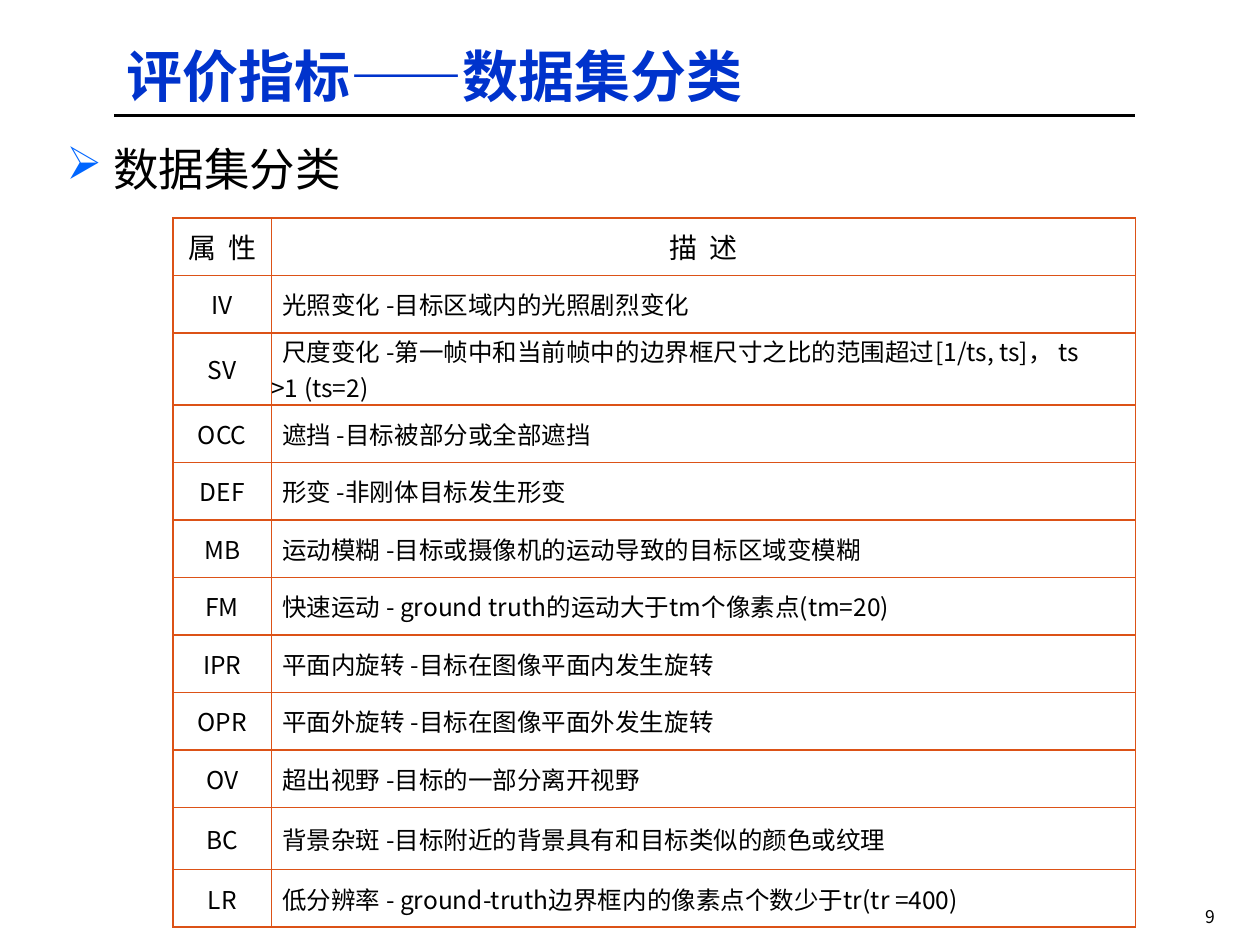
from lxml import etree
from pptx import Presentation
from pptx.dml.color import RGBColor
from pptx.enum.shapes import MSO_CONNECTOR
from pptx.enum.text import MSO_ANCHOR, PP_ALIGN
from pptx.oxml.ns import qn
from pptx.util import Cm, Pt

STRAIGHT = MSO_CONNECTOR.STRAIGHT
MIDDLE, TOP = MSO_ANCHOR.MIDDLE, MSO_ANCHOR.TOP
LEFT, CENTER, RIGHT = PP_ALIGN.LEFT, PP_ALIGN.CENTER, PP_ALIGN.RIGHT

COLORS = {"title": "0033CC", "bullet": "0066FF", "text": "000000", "border": "DC5217"}
SERIF, SANS = "Times New Roman", "Noto Sans CJK SC"
TITLE_ONLY = 5

HEADER = ("属 性", "描 述")
ATTRIBUTES = [
    ("IV", "光照变化 -目标区域内的光照剧烈变化"),
    ("SV", "尺度变化 -第一帧中和当前帧中的边界框尺寸之比的范围超过[1/ts, ts]， ts\n>1 (ts=2)"),
    ("OCC", "遮挡 -目标被部分或全部遮挡"),
    ("DEF", "形变 -非刚体目标发生形变"),
    ("MB", "运动模糊 -目标或摄像机的运动导致的目标区域变模糊"),
    ("FM", "快速运动 - ground truth的运动大于tm个像素点(tm=20)"),
    ("IPR", "平面内旋转 -目标在图像平面内发生旋转"),
    ("OPR", "平面外旋转 -目标在图像平面外发生旋转"),
    ("OV", "超出视野 -目标的一部分离开视野"),
    ("BC", "背景杂斑 -目标附近的背景具有和目标类似的颜色或纹理"),
    ("LR", "低分辨率 - ground-truth边界框内的像素点个数少于tr(tr =400)"),
]
ROW_HEIGHT = 1.16
TALL_ROWS = {"SV": 1.45, "BC": 1.25}


def add_span(para, text, size, font, color="text", bold=False):
    span = para.add_run()
    span.text = text
    span.font.size = Pt(size)
    span.font.name = font
    span.font.bold = bold
    span.font.color.rgb = RGBColor.from_string(COLORS[color])
    # Chinese letters are always sans serif
    east_asian = etree.SubElement(span._r.get_or_add_rPr(), qn("a:ea"))
    east_asian.set("typeface", SANS)
    return span


def add_bullet(para, indent):
    props = para._p.get_or_add_pPr()
    props.set("marL", str(indent))
    props.set("indent", str(-indent))
    color = etree.SubElement(props, qn("a:buClr"))
    etree.SubElement(color, qn("a:srgbClr")).set("val", COLORS["bullet"])
    etree.SubElement(props, qn("a:buChar")).set("char", "➢")


def set_borders(cell):
    props = cell._tc.get_or_add_tcPr()
    for index, side in enumerate(("lnL", "lnR", "lnT", "lnB")):
        line = etree.Element(qn(f"a:{side}"), w=str(Pt(1)))
        fill = etree.SubElement(line, qn("a:solidFill"))
        etree.SubElement(fill, qn("a:srgbClr")).set("val", COLORS["border"])
        props.insert(index, line)


def add_heading(page, left, top, width, height):
    # Title
    title = page.shapes.title
    title.left, title.top, title.width, title.height = left, top, width, height
    title.text_frame.vertical_anchor = MIDDLE
    para = title.text_frame.paragraphs[0]
    para.alignment = LEFT
    add_span(para, "评价指标——数据集分类", 32, SERIF, "title", bold=True)
    # Rule under the title
    rule_y = top + height + Cm(0.02)
    rule = page.shapes.add_connector(STRAIGHT, left, rule_y, left + width, rule_y)
    rule.line.width = Pt(2)
    rule.line.color.rgb = RGBColor.from_string(COLORS["text"])
    etree.SubElement(rule._element.spPr, qn("a:effectLst"))


def add_topic(page, left, top, width, height):
    box = page.shapes.add_textbox(left, top, width, height)
    box.text_frame.word_wrap = True
    box.text_frame.vertical_anchor = TOP
    para = box.text_frame.paragraphs[0]
    add_bullet(para, Cm(0.94))
    add_span(para, "数据集分类", 26, SERIF)


def fill_cell(cell, text, size, alignment):
    cell.fill.background()
    cell.vertical_anchor = MIDDLE
    cell.margin_left = cell.margin_right = cell.margin_top = cell.margin_bottom = 0
    set_borders(cell)
    para = cell.text_frame.paragraphs[0]
    para.alignment = alignment
    if alignment == LEFT:
        para._p.get_or_add_pPr().set("indent", str(Cm(0.22)))
    spans = []
    for number, line in enumerate(text.split("\n")):
        if number:
            para.add_line_break()
        spans.append(add_span(para, line, size, SANS))
    return spans


def add_attribute_table(page, left, top, widths):
    heights = [Cm(TALL_ROWS.get(name, ROW_HEIGHT)) for name, _ in [HEADER] + ATTRIBUTES]
    frame = page.shapes.add_table(len(heights), len(widths), left, top, sum(widths), sum(heights))
    table = frame.table
    table.horz_banding = table.first_row = False
    for column, width in zip(table.columns, widths):
        column.width = width
    for row, height in zip(table.rows, heights):
        row.height = height
    # Header, with its letters spread
    for column, text in enumerate(HEADER):
        for span in fill_cell(table.cell(0, column), text, 16, CENTER):
            span._r.get_or_add_rPr().set("spc", "180")
    # One row for each attribute
    for row, (name, description) in enumerate(ATTRIBUTES, start=1):
        fill_cell(table.cell(row, 0), name, 14, CENTER)
        fill_cell(table.cell(row, 1), description, 14, LEFT)


def add_page_number(page, left, top, width, height):
    box = page.shapes.add_textbox(left, top, width, height)
    box.text_frame.word_wrap = True
    para = box.text_frame.paragraphs[0]
    para.alignment = RIGHT
    add_span(para, "9", 10, SANS)


def main():
    deck = Presentation()
    deck.slide_width, deck.slide_height = Cm(25.4), Cm(19.05)
    page = deck.slides.add_slide(deck.slide_layouts[TITLE_ONLY])
    add_heading(page, Cm(2.3), Cm(0.71), Cm(20.58), Cm(1.6))
    add_topic(page, Cm(1.09), Cm(2.72), Cm(23.42), Cm(1.5))
    add_attribute_table(page, Cm(3.49), Cm(4.39), [Cm(1.98), Cm(17.42)])
    add_page_number(page, Cm(23.5), Cm(18.14), Cm(1.24), Cm(0.69))
    deck.save("out.pptx")


if __name__ == "__main__":
    main()
